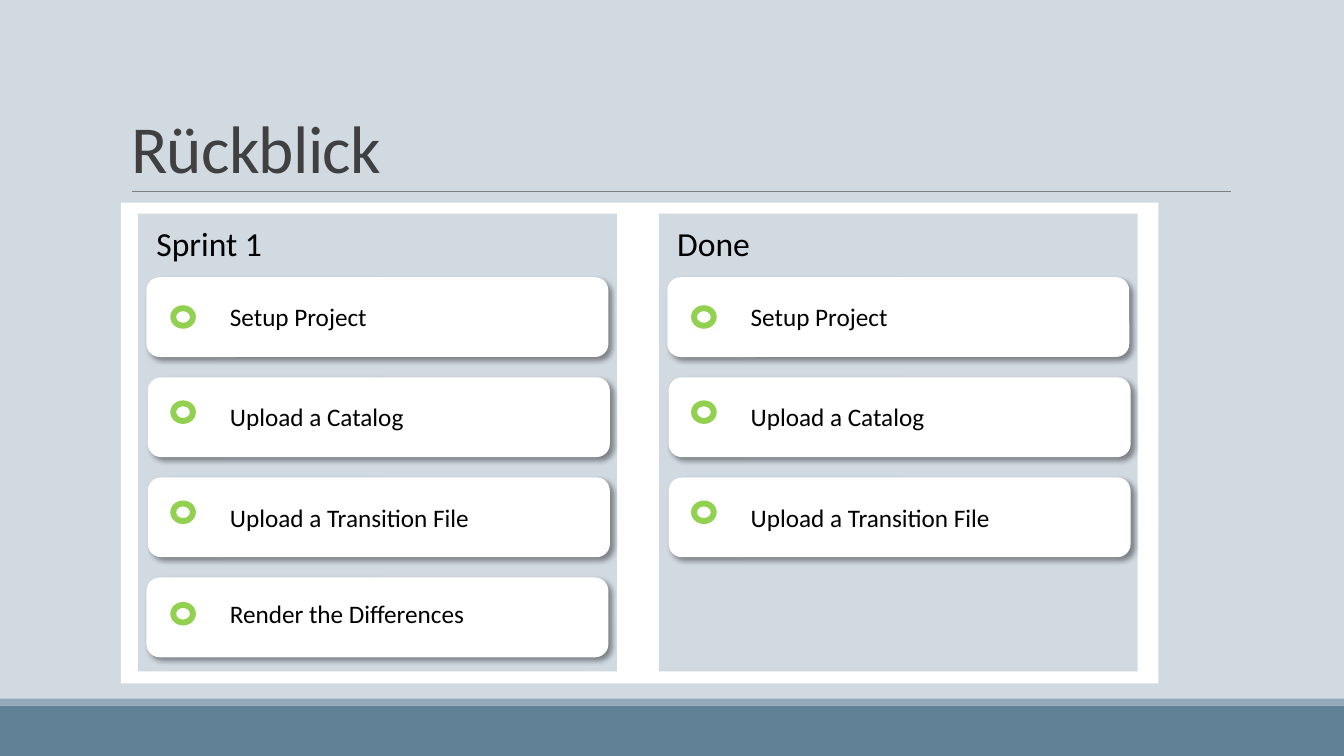
from lxml import etree
from pptx import Presentation
from pptx.dml.color import RGBColor
from pptx.enum.shapes import MSO_CONNECTOR, MSO_SHAPE
from pptx.enum.text import MSO_ANCHOR, MSO_AUTO_SIZE, PP_ALIGN
from pptx.oxml import parse_xml
from pptx.oxml.ns import nsdecls, qn
from pptx.util import Pt

RECTANGLE = MSO_SHAPE.RECTANGLE
ROUNDED = MSO_SHAPE.ROUNDED_RECTANGLE
DONUT = MSO_SHAPE.DONUT
STRAIGHT = MSO_CONNECTOR.STRAIGHT
LEFT = PP_ALIGN.LEFT
BOTTOM, TOP = MSO_ANCHOR.BOTTOM, MSO_ANCHOR.TOP
NO_FIT, GROW = MSO_AUTO_SIZE.NONE, MSO_AUTO_SIZE.SHAPE_TO_FIT_TEXT

PALE = RGBColor(0xD1, 0xD9, 0xE1)
STEEL = RGBColor(0x61, 0x81, 0x97)
LIGHT_STEEL = RGBColor(0x92, 0xA9, 0xB9)
GRAY = RGBColor(0x80, 0x80, 0x80)
DARK = RGBColor(0x40, 0x40, 0x40)
WHITE = RGBColor(0xFF, 0xFF, 0xFF)
BLACK = RGBColor(0x00, 0x00, 0x00)
GREEN = RGBColor(0x92, 0xD0, 0x50)

FONT = "Calibri"
PANEL_LEFT, PANEL_PITCH = 98.64, 372
CARD_TOP, CARD_PITCH = 198, 71.5

# Label, card indent in the panel, ring and label offsets from the card top
TASKS = [
    ("Setup Project", 6, 20, 13.7),
    ("Upload a Catalog", 7, 16.5, 13.7),
    ("Upload a Transition File", 7, 16.5, 14),
    ("Render the Differences", 6, 17.5, 11),
]
# Heading, heading top, number of tasks
COLUMNS = [("Sprint 1", 155.5, 4), ("Done", 156, 3)]

SHADOW = (
    f'<a:outerShdw {nsdecls("a")} blurRad="50800" dist="38100" dir="2700000" '
    'algn="tl" rotWithShape="0"><a:srgbClr val="000000">'
    '<a:alpha val="40000"/></a:srgbClr></a:outerShdw>'
)


def set_format(target, values):
    for name, value in values.items():
        setattr(target, name, value)


def place(shape, left, top, width, height):
    set_format(shape, {"left": Pt(left), "top": Pt(top),
                       "width": Pt(width), "height": Pt(height)})


def add_filled(slide, kind, color, left, top, width, height):
    shape = slide.shapes.add_shape(kind, Pt(left), Pt(top), Pt(width), Pt(height))
    shape.shadow.inherit = False
    shape.fill.solid()
    shape.fill.fore_color.rgb = color
    shape.line.fill.background()
    return shape


def add_label(slide, text, size, left, top, width, height):
    box = slide.shapes.add_textbox(Pt(left), Pt(top), Pt(width), Pt(height))
    set_format(box.text_frame, {"word_wrap": True, "auto_size": GROW,
                                "vertical_anchor": TOP})
    span = box.text_frame.paragraphs[0].add_run()
    span.text = text
    set_format(span.font, {"name": FONT, "size": Pt(size)})
    span.font.color.rgb = BLACK


def add_title(slide, text):
    title = slide.shapes.title
    place(title, 86.4, 22.5, 792, 114.5)
    set_format(title.text_frame, {"word_wrap": True, "auto_size": NO_FIT,
                                  "vertical_anchor": BOTTOM})
    para = title.text_frame.paragraphs[0]
    set_format(para, {"alignment": LEFT, "line_spacing": 0.85})
    span = para.add_run()
    span.text = text
    set_format(span.font, {"name": FONT, "size": Pt(48)})
    span.font.color.rgb = DARK
    span.font._element.set("spc", "-50")


def add_rule(slide, left, right, top):
    rule = slide.shapes.add_connector(STRAIGHT, Pt(left), Pt(top), Pt(right), Pt(top))
    rule.line.color.rgb = GRAY
    rule.line.width = Pt(0.5)
    etree.SubElement(rule._element.spPr, qn("a:effectLst"))


def add_card(slide, panel_left, top, task):
    text, indent, ring_offset, label_offset = task
    card = add_filled(slide, ROUNDED, WHITE, panel_left + indent, top, 330, 57)
    card._element.spPr.find(qn("a:effectLst")).append(parse_xml(SHADOW))
    add_filled(slide, DONUT, GREEN, panel_left + 23, top + ring_offset, 18.3, 16.8)
    add_label(slide, text, 18, panel_left + 58.5, top + label_offset, 269, 29)


def add_column(slide, left, heading, heading_top, task_count):
    add_filled(slide, RECTANGLE, PALE, left, 152.6, 342, 327)
    add_label(slide, heading, 24, left + 6, heading_top, 330, 36)
    for row, task in enumerate(TASKS[:task_count]):
        add_card(slide, left, CARD_TOP + row * CARD_PITCH, task)


def main():
    deck = Presentation()
    set_format(deck, {"slide_width": Pt(960), "slide_height": Pt(540)})
    slide = deck.slides.add_slide(deck.slide_layouts[5])
    slide.background.fill.solid()
    slide.background.fill.fore_color.rgb = PALE

    add_filled(slide, RECTANGLE, STEEL, 0, 504, 960, 36)
    add_filled(slide, RECTANGLE, LIGHT_STEEL, 0, 499, 960, 5)
    add_rule(slide, 94.3, 879, 136.8)
    add_title(slide, "Rückblick")

    add_filled(slide, RECTANGLE, WHITE, 86.4, 144.7, 741, 343.5)
    for index, column in enumerate(COLUMNS):
        add_column(slide, PANEL_LEFT + index * PANEL_PITCH, *column)
    deck.save("out.pptx")


if __name__ == "__main__":
    main()
